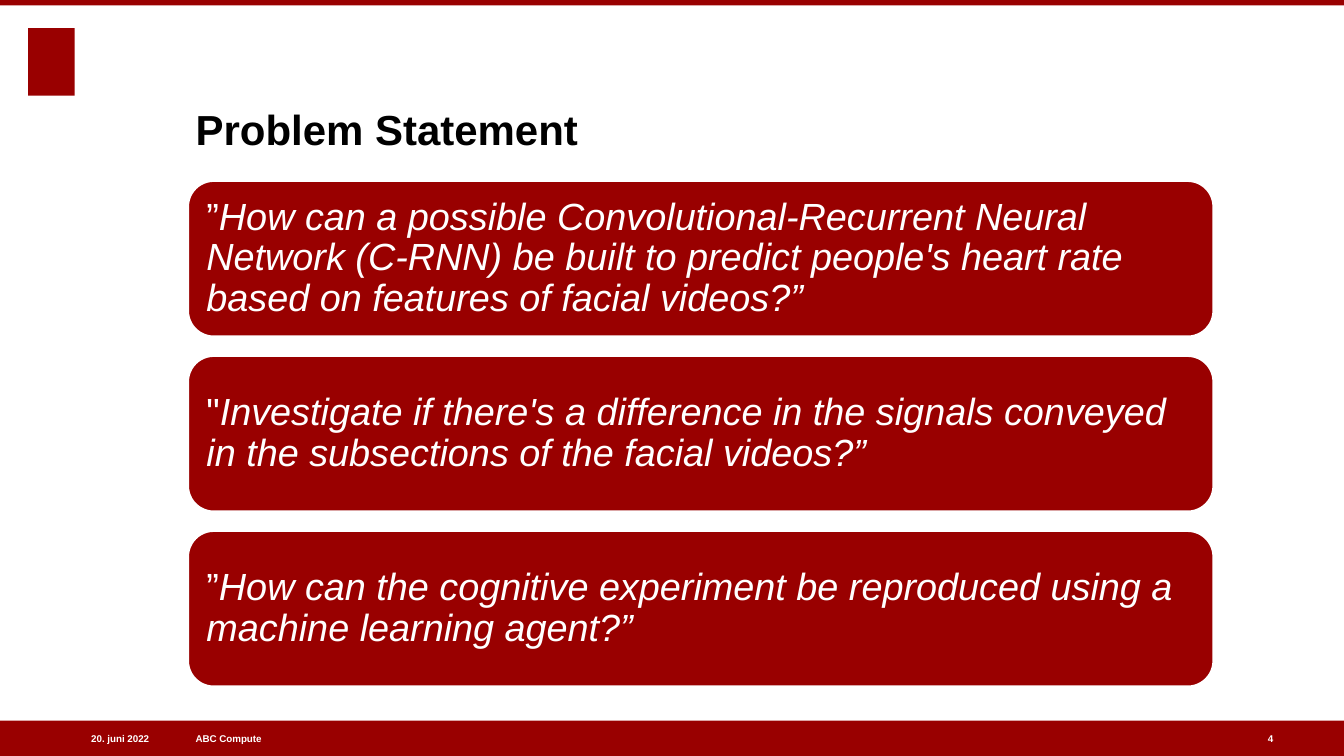
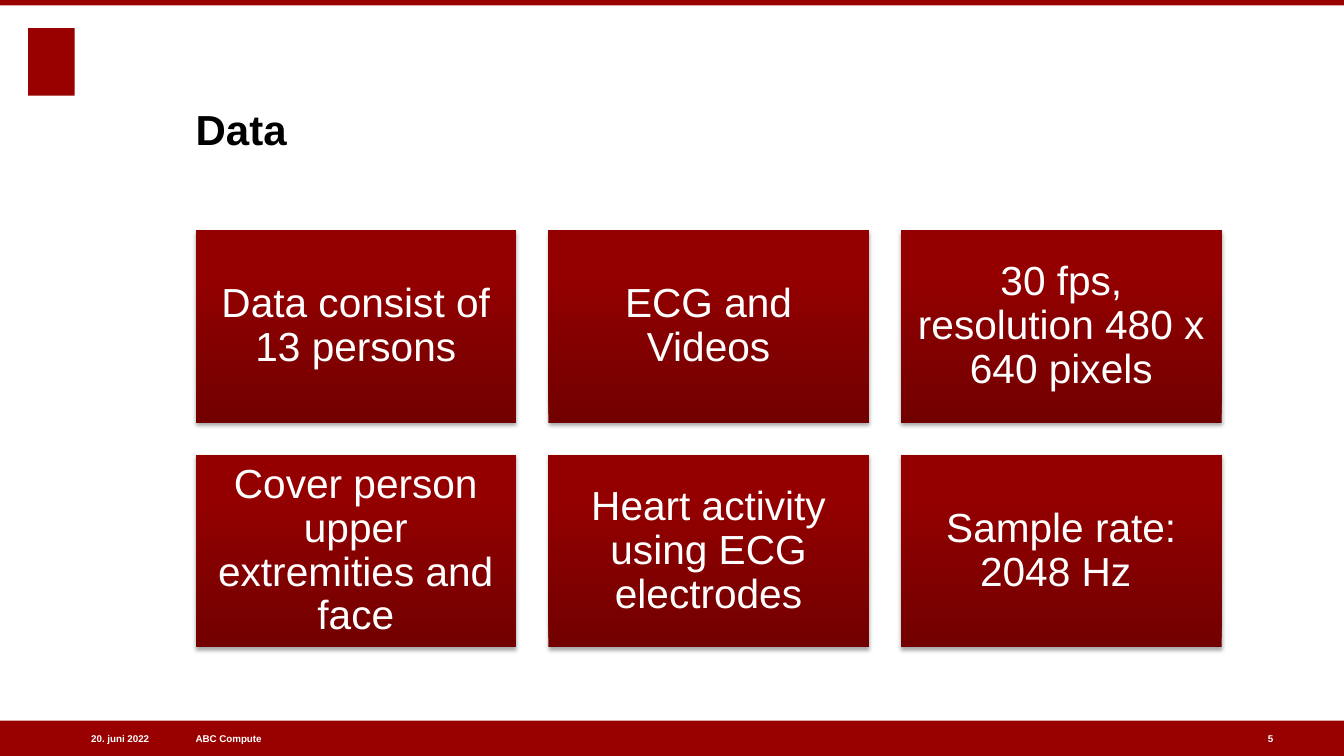
import lxml.etree
import pptx
import pptx.dml.color
import pptx.enum.shapes
import pptx.enum.text
import pptx.oxml.ns
import pptx.util

Cm = pptx.util.Cm
Pt = pptx.util.Pt
ALIGN = pptx.enum.text.PP_ALIGN
ANCHOR = pptx.enum.text.MSO_ANCHOR
SHAPE = pptx.enum.shapes.MSO_SHAPE

COLORS = {
    "red": "990000",
    "white": "FFFFFF",
    "black": "000000",
    "card_dark": "720000",
    "card_light": "940000",
}
FONT = "Arial"
WIDTH, HEIGHT = 33.87, 19.05
CONTENT_LEFT, CONTENT_WIDTH = 4.93, 25.86
BAND_TOP, BAND_HEIGHT = 18.16, 0.89

QUESTIONS = [
    ("”", "How can a possible Convolutional-Recurrent Neural Network (C-RNN) be built "
          "to predict people's heart rate based on features of facial videos?”"),
    ('"', "Investigate if there's a difference in the signals conveyed in the "
          "subsections of the facial videos?”"),
    ("”", "How can the cognitive experiment be reproduced using a machine learning agent?”"),
]
DATA_FACTS = [
    "Data consist of 13 persons",
    "ECG and Videos",
    "30 fps, resolution 480 x 640 pixels",
    "Cover person upper extremities and face",
    "Heart activity using ECG electrodes",
    "Sample rate: 2048 Hz ",
]


def rgb(name):
    """Return the named colour."""
    return pptx.dml.color.RGBColor.from_string(COLORS[name])


def format_frame(frame, inset, anchor=ANCHOR.MIDDLE):
    """Set wrapping, anchor and equal insets of a text frame."""
    frame.word_wrap = True
    frame.auto_size = pptx.enum.text.MSO_AUTO_SIZE.NONE
    frame.vertical_anchor = anchor
    frame.margin_left = frame.margin_right = Cm(inset)
    frame.margin_top = frame.margin_bottom = Cm(inset)


def format_paragraph(paragraph, size, color="white", bold=False, align=ALIGN.LEFT, spacing=1.0):
    """Set the font, alignment and line spacing of a paragraph."""
    paragraph.alignment = align
    paragraph.line_spacing = spacing
    paragraph.font.name = FONT
    paragraph.font.size = Pt(size)
    paragraph.font.bold = bold
    paragraph.font.color.rgb = rgb(color)


def add_block(slide, kind, left, top, width, height):
    """Add a plain red shape without line or shadow."""
    shape = slide.shapes.add_shape(kind, Cm(left), Cm(top), Cm(width), Cm(height))
    shape.shadow.inherit = False
    shape.fill.solid()
    shape.fill.fore_color.rgb = rgb("red")
    shape.line.fill.background()
    return shape


def add_band_text(slide, text, left, width, align=ALIGN.LEFT):
    """Add a small bold text in the footer band."""
    box = slide.shapes.add_textbox(Cm(left), Cm(BAND_TOP), Cm(width), Cm(BAND_HEIGHT))
    format_frame(box.text_frame, 0)
    paragraph = box.text_frame.paragraphs[0]
    paragraph.text = text
    format_paragraph(paragraph, 7, bold=True, align=align)


def add_slide(presentation, title, number):
    """Add a slide with title, bands, emblem and footer."""
    slide = presentation.slides.add_slide(presentation.slide_layouts[5])
    add_block(slide, SHAPE.RECTANGLE, 0.71, 0.71, 1.17, 1.7)
    add_block(slide, SHAPE.RECTANGLE, 0, BAND_TOP, WIDTH, BAND_HEIGHT)
    add_block(slide, SHAPE.RECTANGLE, 0, 0, WIDTH, 0.14)
    add_band_text(slide, "ABC Compute", CONTENT_LEFT, 9.45)
    add_band_text(slide, "20. juni 2022", 0.69, 3.07, ALIGN.RIGHT)
    add_band_text(slide, str(number), 31.95, 1.19)
    heading = slide.shapes.title
    heading.left, heading.top = Cm(CONTENT_LEFT), Cm(1.19)
    heading.width, heading.height = Cm(CONTENT_WIDTH), Cm(2.69)
    format_frame(heading.text_frame, 0, ANCHOR.BOTTOM)
    paragraph = heading.text_frame.paragraphs[0]
    paragraph.text = title
    format_paragraph(paragraph, 30, "black", bold=True)
    return slide


def add_question(slide, top, quote_mark, question):
    """Add a rounded box with an italic question."""
    box = add_block(slide, SHAPE.ROUNDED_RECTANGLE, 4.73, top, CONTENT_WIDTH, 3.94)
    box.line.color.rgb = rgb("white")
    box.line.width = Pt(2)
    format_frame(box.text_frame, 0.28)
    paragraph = box.text_frame.paragraphs[0]
    format_paragraph(paragraph, 27, spacing=0.9)
    paragraph.add_run().text = quote_mark
    run = paragraph.add_run()
    run.text = question
    run.font.italic = True


def add_soft_shadow(shape):
    """Give a shape a faint shadow below it."""
    qn = pptx.oxml.ns.qn
    effects = shape.element.spPr.find(qn("a:effectLst"))
    shadow = lxml.etree.SubElement(
        effects, qn("a:outerShdw"), blurRad=str(Pt(3.1)), dist=str(Pt(1.8)),
        dir="5400000", rotWithShape="0")
    color = lxml.etree.SubElement(shadow, qn("a:srgbClr"), val=COLORS["black"])
    lxml.etree.SubElement(color, qn("a:alpha"), val="35000")


def add_card(slide, left, top, width, height, text):
    """Add a shaded card with centred text."""
    card = add_block(slide, SHAPE.RECTANGLE, left, top, width, height)
    card.fill.gradient()
    card.fill.gradient_angle = 90
    stops = zip(card.fill.gradient_stops, (("card_dark", 0), ("card_light", 0.8)))
    for stop, (color, position) in stops:
        stop.color.rgb = rgb(color)
        stop.position = position
    add_soft_shadow(card)
    format_frame(card.text_frame, 0.3)
    paragraph = card.text_frame.paragraphs[0]
    paragraph.text = text
    format_paragraph(paragraph, 29, align=ALIGN.CENTER, spacing=0.9)


def add_problem_slide(presentation):
    """Add the slide with the research questions."""
    slide = add_slide(presentation, "Problem Statement", 4)
    for index, (quote_mark, question) in enumerate(QUESTIONS):
        add_question(slide, 4.55 + index * 4.41, quote_mark, question)


def add_data_slide(presentation):
    """Add the slide with the grid of data facts."""
    slide = add_slide(presentation, "Data", 5)
    columns, gap, height = 3, 0.81, 4.85
    width = (CONTENT_WIDTH - (columns - 1) * gap) / columns
    for index, fact in enumerate(DATA_FACTS):
        row, column = divmod(index, columns)
        left = CONTENT_LEFT + column * (width + gap)
        top = 5.8 + row * (height + gap)
        add_card(slide, left, top, width, height, fact)


def main():
    """Build and save the presentation."""
    presentation = pptx.Presentation()
    presentation.slide_width, presentation.slide_height = Cm(WIDTH), Cm(HEIGHT)
    add_problem_slide(presentation)
    add_data_slide(presentation)
    presentation.save("out.pptx")


if __name__ == "__main__":
    main()
